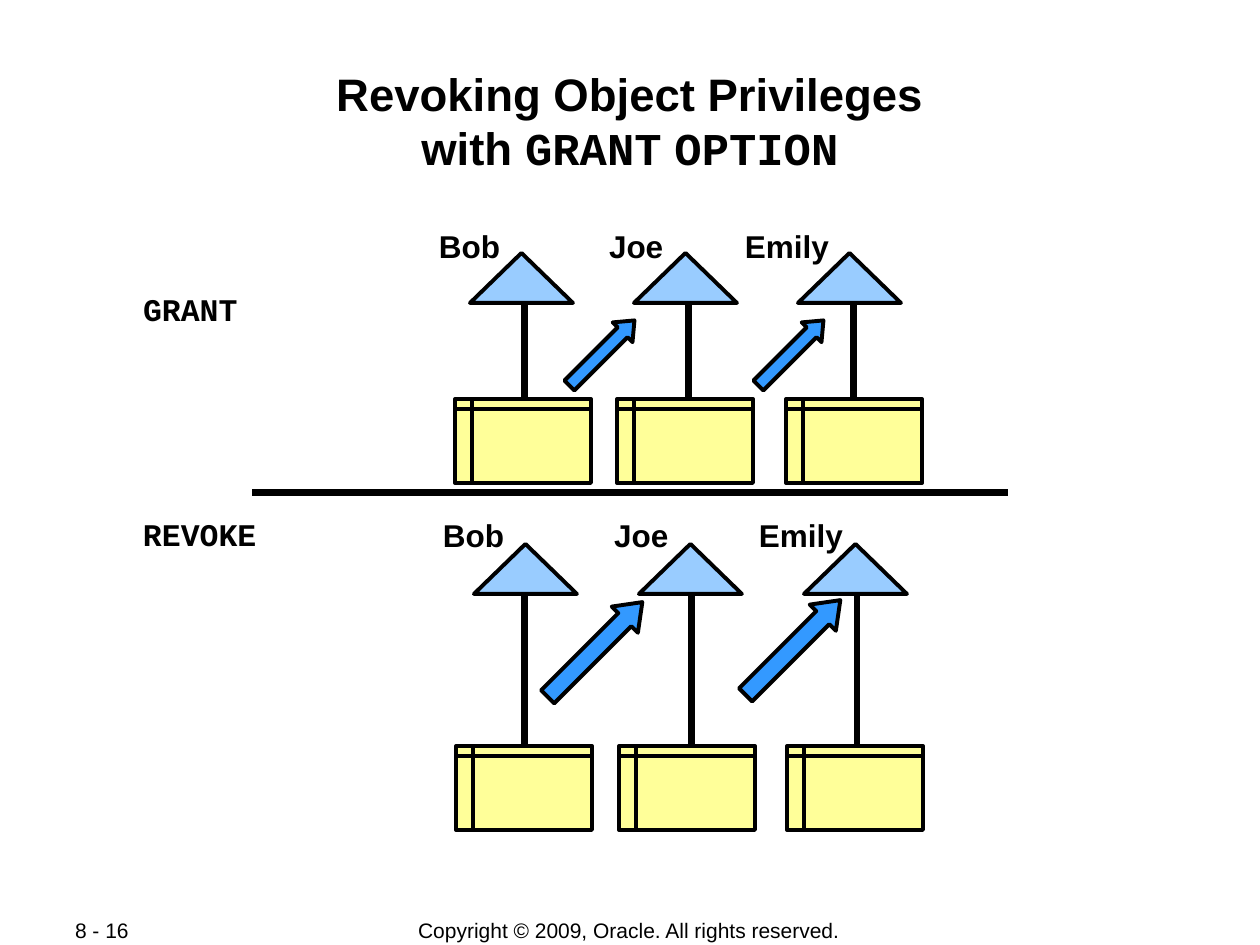
from dataclasses import dataclass
from lxml import etree
from pptx import Presentation, util as u
from pptx.dml.color import RGBColor
from pptx.enum import shapes, text
from pptx.oxml.ns import qn

SCALE = 914400 / 126
COLORS = {"ink": "000000", "triangle": "99CCFF", "arrow": "3399FF", "table": "FFFF99"}
SANS, MONO = "Arial", "Courier New"
PEOPLE = ("Bob", "Joe", "Emily")
SHAPE = shapes.MSO_SHAPE


@dataclass
class Box:
    x: int
    y: int
    w: int
    h: int


@dataclass
class Row:
    label: str
    label_box: Box
    stem_xs: tuple[int, ...]
    stem_top: int
    triangle_x: int
    triangle_step: int
    triangle_y: int
    arrows: tuple[Box, ...]
    arrow_head: float
    names: tuple[Box, ...]
    table_xs: tuple[int, ...]
    table_y: int


ROWS = (
    Row("GRANT", Box(132, 284, 197, 49), (525, 689, 854), 294, 470, 164, 253,
        (Box(556, 339, 92, 28), Box(745, 339, 92, 28)), 0.6,
        (Box(427, 221, 87, 50), Box(597, 221, 82, 50), Box(733, 221, 117, 50)),
        (455, 617, 786), 399),
    Row("REVOKE", Box(132, 509, 229, 49), (525, 692, 857), 568, 474, 165, 544,
        (Box(528, 631, 134, 37), Box(726, 629, 134, 37)), 0.67,
        (Box(431, 510, 87, 50), Box(602, 510, 82, 50), Box(747, 510, 113, 50)),
        (456, 619, 787), 746),
)


def px(n: int) -> u.Emu:
    return u.Emu(round(n * SCALE))


def place(b: Box) -> tuple[u.Emu, ...]:
    return px(b.x), px(b.y), px(b.w), px(b.h)


def color(name: str) -> RGBColor:
    return RGBColor.from_string(COLORS[name])


def set_font(font, size: int, face: str, bold: bool) -> None:
    font.size, font.name, font.bold = u.Pt(size), face, bold
    font.color.rgb = color("ink")


def set_margins(tf, x: int, y: int) -> None:
    tf.margin_left = tf.margin_right = px(x)
    tf.margin_top = tf.margin_bottom = px(y)


def add_text(parent, b: Box, words: str, size: int = 18, face: str = SANS,
             bold: bool = True, margins: tuple[int, int] = (12, 6),
             align=text.PP_ALIGN.LEFT, anchor=text.MSO_ANCHOR.TOP) -> None:
    tf = parent.add_textbox(*place(b)).text_frame
    tf.word_wrap = True
    tf.vertical_anchor = anchor
    set_margins(tf, *margins)
    p = tf.paragraphs[0]
    p.text, p.alignment = words, align
    set_font(p.font, size, face, bold)


def add_line(parent, x1: int, y1: int, x2: int, y2: int) -> None:
    c = parent.add_connector(shapes.MSO_CONNECTOR.STRAIGHT, px(x1), px(y1), px(x2), px(y2))
    c.line.color.rgb, c.line.width = color("ink"), u.Pt(4)
    etree.SubElement(c._element.spPr, qn("a:effectLst"))


def add_figure(parent, kind, b: Box, fill: str):
    sp = parent.add_shape(kind, *place(b))
    sp.shadow.inherit = False
    sp.fill.solid()
    sp.fill.fore_color.rgb = color(fill)
    sp.line.color.rgb, sp.line.width = color("ink"), u.Pt(2.25)
    return sp


def add_row(s, row: Row) -> None:
    add_text(s.shapes, row.label_box, row.label, face=MONO, margins=(11, 6))
    group = s.shapes.add_group_shape().shapes
    for x in row.stem_xs:
        add_line(group, x, row.stem_top, x, row.table_y + 10)
    for i in range(len(PEOPLE)):
        b = Box(row.triangle_x + i * row.triangle_step, row.triangle_y, 103, 50)
        add_figure(group, SHAPE.ISOSCELES_TRIANGLE, b, "triangle")
    for b in row.arrows:
        arrow = add_figure(group, SHAPE.RIGHT_ARROW, b, "arrow")
        arrow.adjustments[1] = row.arrow_head
        arrow.rotation = 315
    for name, b in zip(PEOPLE, row.names):
        add_text(group, b, name)
    for x in row.table_xs:
        add_figure(group, SHAPE.FLOWCHART_INTERNAL_STORAGE, Box(x, row.table_y, 136, 84), "table")


def add_title(s) -> None:
    title = s.shapes.title
    title.left, title.top, title.width, title.height = place(Box(84, 60, 1092, 121))
    tf = title.text_frame
    tf.word_wrap = True
    tf.vertical_anchor = text.MSO_ANCHOR.MIDDLE
    set_margins(tf, 1, 1)
    p = tf.paragraphs[0]
    p.text = "Revoking Object Privileges\vwith "
    p.alignment = text.PP_ALIGN.CENTER
    p.space_before = u.Pt(0)
    set_font(p.font, 26, SANS, True)
    for words, face in (("GRANT", MONO), (" ", SANS), ("OPTION", MONO)):
        r = p.add_run()
        r.text, r.font.name = words, face
    for r in p.runs:
        set_font(r.font, 26, r.font.name or SANS, True)


def main() -> None:
    prs = Presentation()
    prs.slide_width, prs.slide_height = px(1260), px(945)
    s = prs.slides.add_slide(prs.slide_layouts[5])
    add_title(s)
    footer = dict(size=12, bold=False, margins=(0, 0), anchor=text.MSO_ANCHOR.MIDDLE)
    add_text(s.shapes, Box(346, 917, 566, 26), "Copyright © 2009, Oracle. All rights reserved.",
             align=text.PP_ALIGN.CENTER, **footer)
    add_text(s.shapes, Box(75, 917, 134, 26), "8 - 16", **footer)
    add_line(s.shapes, 252, 493, 1008, 493)
    for row in ROWS:
        add_row(s, row)
    prs.save("out.pptx")


if __name__ == "__main__":
    main()
